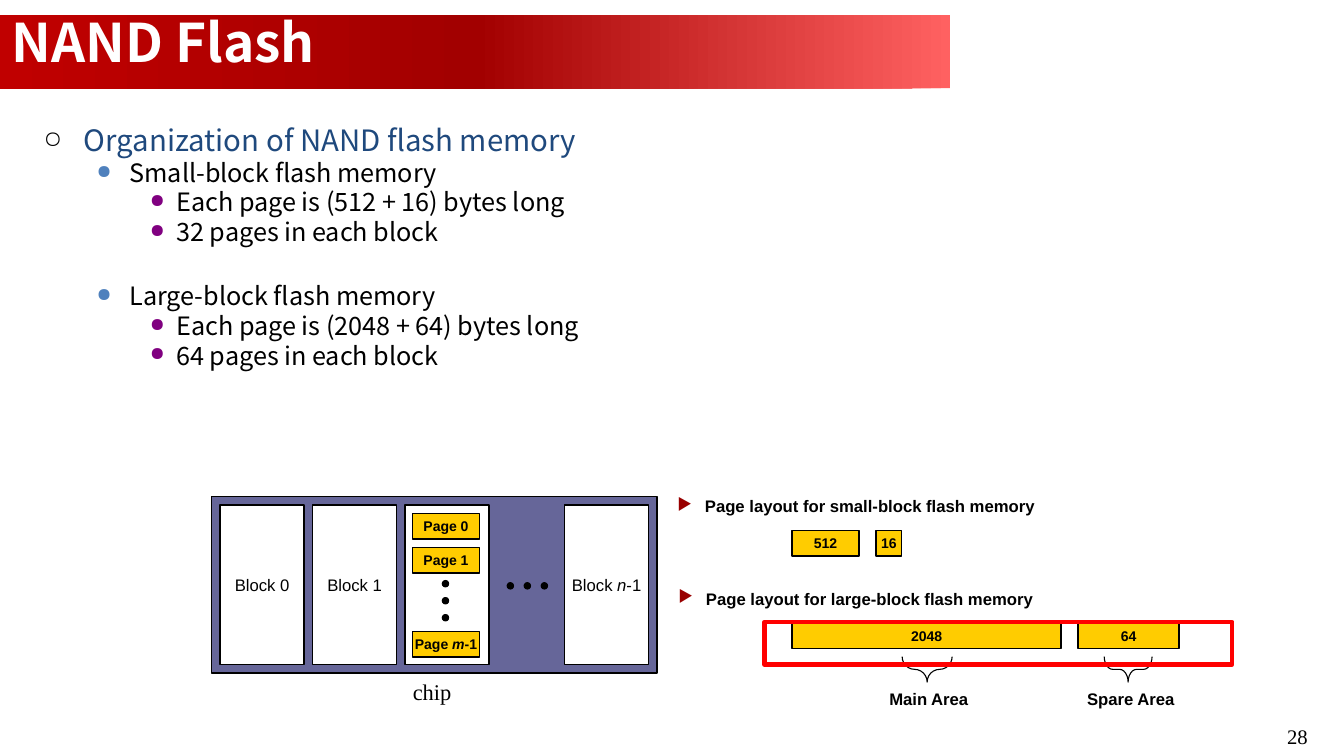
from dataclasses import dataclass
from typing import Any

from lxml import etree
from pptx import Presentation
from pptx.dml.color import RGBColor
from pptx.enum.shapes import MSO_SHAPE
from pptx.enum.text import MSO_ANCHOR, PP_ALIGN
from pptx.oxml.ns import qn
from pptx.util import Pt

EMU_PER_PX = 9144
RECTANGLE, OVAL, BRACE = MSO_SHAPE.RECTANGLE, MSO_SHAPE.OVAL, MSO_SHAPE.LEFT_BRACE
LEFT, CENTER, RIGHT = PP_ALIGN.LEFT, PP_ALIGN.CENTER, PP_ALIGN.RIGHT
TOP, MIDDLE = MSO_ANCHOR.TOP, MSO_ANCHOR.MIDDLE
SANS, SERIF, HEADING = "Arial", "Times New Roman", "Noto Sans CJK SC"
COLORS = {
    "black": "000000", "white": "FFFFFF", "navy": "1F497D", "blue": "4F81BD",
    "purple": "800080", "chip": "666699", "page": "FFCC00", "arrow": "990000",
    "frame": "FF0000", "banner_dark": "C00000", "banner_mid": "A20000", "banner_light": "FF6161",
}


@dataclass(frozen=True)
class Box:
    left: int
    top: int
    width: int
    height: int

    def emu(self) -> tuple[int, ...]:
        return tuple(px(v) for v in (self.left, self.top, self.width, self.height))


@dataclass(frozen=True)
class Style:
    size: float
    font: str = SANS
    bold: bool = False
    color: str = "black"


@dataclass(frozen=True)
class Level:
    style: Style
    margin: int
    hang: int
    bullet: str
    bullet_color: str
    bullet_size: int


@dataclass(frozen=True)
class Point:
    level: Level
    text: str
    before: float = 1.5


PAGE_LABEL = Style(9.5, bold=True)
BLOCK_LABEL = Style(11.3)
CAPTION = Style(11.3, bold=True)
DETAIL = Style(17.1, HEADING)
TOPIC_LEVEL = Level(Style(19.9, HEADING, color="navy"), 38, 38, "○", "black", 80)
KIND_LEVEL = Level(DETAIL, 81, 31, "●", "blue", 75)
FACT_LEVEL = Level(DETAIL, 125, 25, "●", "purple", 75)
LAYOUT_LEVEL = Level(CAPTION, 26, 26, "▶", "arrow", 100)

ORGANIZATION = [
    Point(TOPIC_LEVEL, "Organization of NAND flash memory", 0),
    Point(KIND_LEVEL, "Small-block flash memory"),
    Point(FACT_LEVEL, "Each page is (512 + 16) bytes long"),
    Point(FACT_LEVEL, "32 pages in each block"),
    Point(KIND_LEVEL, "Large-block flash memory", 25.3),
    Point(FACT_LEVEL, "Each page is (2048 + 64) bytes long"),
    Point(FACT_LEVEL, "64 pages in each block"),
]
BLOCKS = [(207, "Block 0"), (294, "Block 1"), (381, ""), (531, "Block *n*-1")]
PAGES = [(483, "Page 0"), (515, "Page 1"), (594, "Page *m*-1")]
AREAS = [
    (Box(745, 499, 63, 24), "512"), (Box(824, 499, 24, 24), "16"),
    (Box(745, 586, 253, 24), "2048"), (Box(1014, 586, 95, 24), "64"),
]
LAYOUTS = [
    (Box(637, 460, 345, 32), "Page layout for small-block flash memory"),
    (Box(638, 547, 345, 32), "Page layout for large-block flash memory"),
]
BRACES = [(Box(860, 606, 24, 47), 0.889), (Box(1049, 607, 24, 45), 0.333)]
AREA_NAMES = [(Box(818, 641, 111, 32), "Main Area"), (Box(1008, 641, 111, 32), "Spare Area")]


def px(value: int) -> int:
    return value * EMU_PER_PX


def rgb(color: str) -> RGBColor:
    return RGBColor.from_string(COLORS[color])


def prepare_frame(shape: Any, anchor: Any, wrap: bool) -> Any:
    frame = shape.text_frame
    frame.margin_left = frame.margin_right = frame.margin_top = frame.margin_bottom = 0
    frame.vertical_anchor = anchor
    frame.word_wrap = wrap
    return frame


def add_runs(paragraph: Any, text: str, style: Style) -> None:
    for position, part in enumerate(text.split("*")):
        run = paragraph.add_run()
        run.text = part
        run.font.size = Pt(style.size)
        run.font.name = style.font
        run.font.bold = style.bold
        run.font.italic = position % 2 == 1
        run.font.color.rgb = rgb(style.color)


def add_bullet(paragraph: Any, level: Level) -> None:
    props = paragraph._p.get_or_add_pPr()
    props.set("marL", str(px(level.margin)))
    props.set("indent", str(-px(level.hang)))
    color = etree.SubElement(props, qn("a:buClr"))
    etree.SubElement(color, qn("a:srgbClr"), val=COLORS[level.bullet_color])
    etree.SubElement(props, qn("a:buSzPct"), val=str(level.bullet_size * 1000))
    etree.SubElement(props, qn("a:buChar"), char=level.bullet)


def add_label(slide: Any, box: Box, text: str, style: Style, align: Any = CENTER,
              anchor: Any = MIDDLE, wrap: bool = False) -> None:
    frame = prepare_frame(slide.shapes.add_textbox(*box.emu()), anchor, wrap)
    frame.paragraphs[0].alignment = align
    add_runs(frame.paragraphs[0], text, style)


def add_points(slide: Any, box: Box, points: list[Point], anchor: Any, spacing: float) -> None:
    frame = prepare_frame(slide.shapes.add_textbox(*box.emu()), anchor, True)
    for position, point in enumerate(points):
        paragraph = frame.add_paragraph() if position else frame.paragraphs[0]
        paragraph.alignment = LEFT
        paragraph.line_spacing = spacing
        paragraph.space_before = Pt(point.before)
        add_bullet(paragraph, point.level)
        add_runs(paragraph, point.text, point.level.style)


def add_figure(slide: Any, kind: Any, box: Box, fill: str = "", line: str = "black",
               weight: float = 1, text: str = "", style: Style = PAGE_LABEL) -> Any:
    figure = slide.shapes.add_shape(kind, *box.emu())
    figure.shadow.inherit = False
    if fill:
        figure.fill.solid()
        figure.fill.fore_color.rgb = rgb(fill)
    else:
        figure.fill.background()
    figure.line.color.rgb = rgb(line)
    figure.line.width = Pt(weight)
    if text:
        frame = prepare_frame(figure, MIDDLE, False)
        frame.paragraphs[0].alignment = CENTER
        add_runs(frame.paragraphs[0], text, style)
    return figure


def add_banner(slide: Any) -> None:
    builder = slide.shapes.build_freeform(0, 14, scale=EMU_PER_PX)
    builder.add_line_segments([(894, 14), (894, 83), (0, 84)], close=True)
    banner = builder.convert_to_shape()
    banner.shadow.inherit = False
    banner.line.fill.background()
    gradient = etree.Element(qn("a:gradFill"), rotWithShape="1")
    stops = etree.SubElement(gradient, qn("a:gsLst"))
    for position, color in ((0, "banner_light"), (50, "banner_mid"), (100, "banner_dark")):
        stop = etree.SubElement(stops, qn("a:gs"), pos=str(position * 1000))
        etree.SubElement(stop, qn("a:srgbClr"), val=COLORS[color])
    etree.SubElement(gradient, qn("a:lin"), ang="10800000", scaled="0")
    banner._element.spPr.find(qn("a:custGeom")).addnext(gradient)


def add_chip(slide: Any) -> None:
    add_figure(slide, RECTANGLE, Box(199, 467, 419, 166), "chip")
    for left, name in BLOCKS:
        add_figure(slide, RECTANGLE, Box(left, 475, 79, 150), "white", text=name, style=BLOCK_LABEL)
    for top, name in PAGES:
        add_figure(slide, RECTANGLE, Box(388, top, 63, 24), "page", text=name)
    for step in range(3):
        for dot in (Box(416, 546 + 16 * step, 6, 6), Box(477 + 16 * step, 548, 6, 6)):
            add_figure(slide, OVAL, dot, "black", weight=0.75)
    add_label(slide, Box(378, 632, 57, 36), "chip", Style(15.2, SERIF))


def add_page_layouts(slide: Any) -> None:
    for box, size in AREAS:
        add_figure(slide, RECTANGLE, box, "page", text=size)
    for box, title in LAYOUTS:
        add_points(slide, box, [Point(LAYOUT_LEVEL, title, 0)], MIDDLE, 1.0)
    for box, curve in BRACES:
        brace = add_figure(slide, BRACE, box, weight=0.75)
        brace.rotation = 270
        brace.adjustments[0] = curve
    for box, name in AREA_NAMES:
        add_label(slide, box, name, CAPTION)
    add_figure(slide, RECTANGLE, Box(719, 585, 440, 40), line="frame", weight=3)


def main() -> None:
    deck = Presentation()
    deck.slide_width, deck.slide_height = px(1264), px(711)
    slide = deck.slides.add_slide(deck.slide_layouts[6])
    add_banner(slide)
    add_label(slide, Box(947, 681, 283, 29), "28", Style(14, SERIF), RIGHT, TOP, True)
    add_label(slide, Box(11, 9, 1242, 60), "NAND Flash", Style(36, HEADING, True, "white"), LEFT, wrap=True)
    add_points(slide, Box(41, 119, 1163, 527), ORGANIZATION, TOP, 0.9)
    add_chip(slide)
    add_page_layouts(slide)
    deck.save("out.pptx")


if __name__ == "__main__":
    main()
